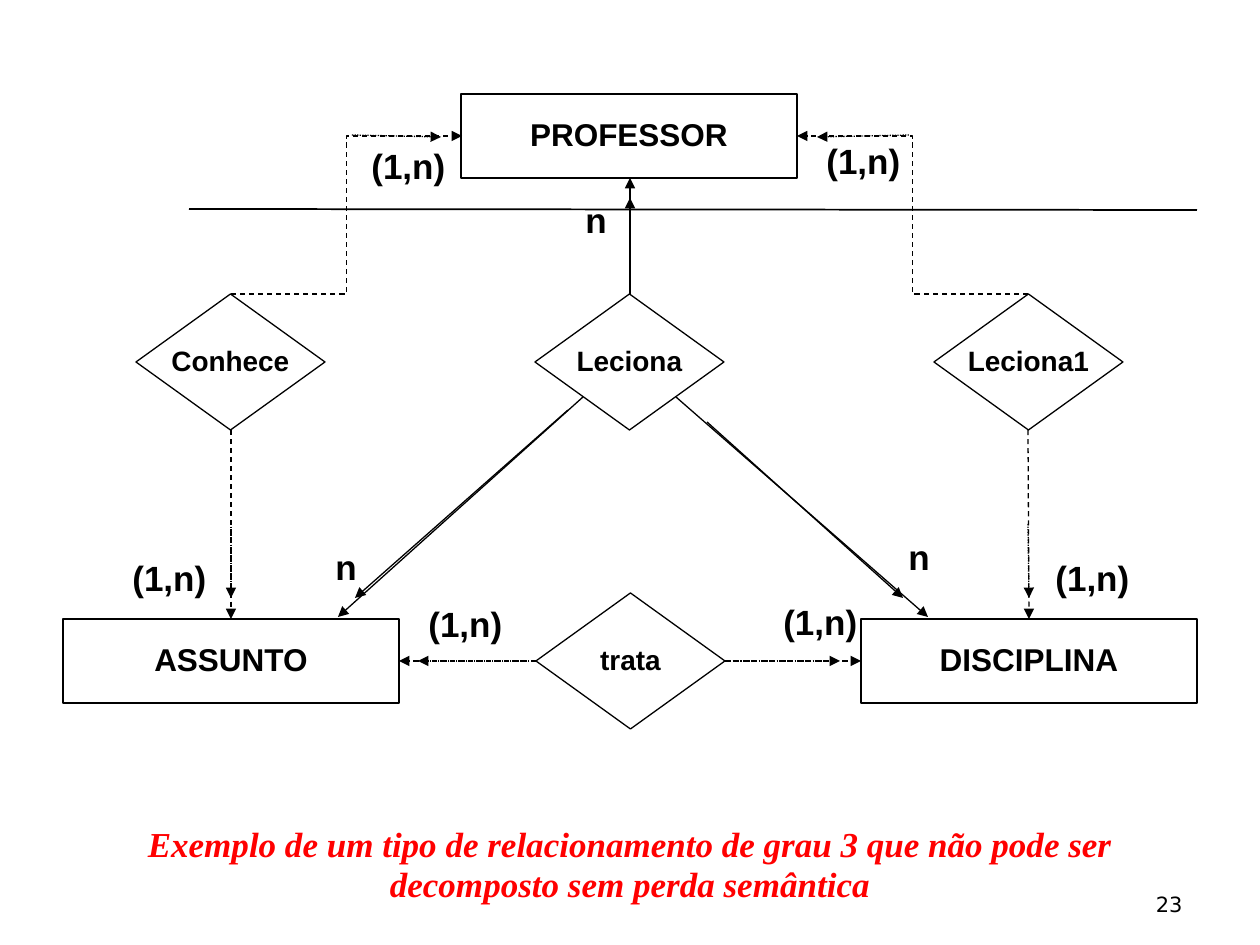
"""Builds a slide with an entity-relationship diagram of a ternary relationship."""
from lxml.etree import SubElement
from pptx import Presentation
from pptx.dml.color import RGBColor
from pptx.enum.dml import MSO_LINE as DASH
from pptx.enum.shapes import MSO_CONNECTOR as CONN, MSO_SHAPE as SHAPE
from pptx.enum.text import MSO_ANCHOR as ANCHOR, MSO_AUTO_SIZE as FIT, PP_ALIGN as ALIGN
from pptx.oxml.ns import qn
from pptx.util import Emu, Pt

BLACK = RGBColor(0, 0, 0)
WHITE = RGBColor(255, 255, 255)
RED = RGBColor(255, 0, 0)
PX = 914400 / 126


def px(*lengths):
    return [Emu(round(v * PX)) for v in lengths]


class Diagram:
    font = "Arial"
    line_width = Pt(0.75)

    def __init__(self, prs):
        self.s = prs.slides.add_slide(prs.slide_layouts[6])

    def label(self, sp, text, size, align=ALIGN.CENTER, font=font, color=BLACK,
              bold=True, italic=False, spacing=0.93):
        tf = sp.text_frame
        tf.text = text
        for p in tf.paragraphs:
            p.alignment = align
            p.line_spacing = spacing
            for r in p.runs:
                r.font.name = font
                r.font.size = Pt(size)
                r.font.bold = bold
                r.font.italic = italic
                r.font.color.rgb = color
        return tf

    def node(self, kind, text, x, y, w, h, size):
        sp = self.s.shapes.add_shape(kind, *px(x, y, w, h))
        sp.shadow.inherit = False
        sp.fill.solid()
        sp.fill.fore_color.rgb = WHITE
        sp.line.color.rgb = BLACK
        sp.line.width = self.line_width
        tf = self.label(sp, text, size)
        tf.word_wrap = False
        tf.vertical_anchor = ANCHOR.MIDDLE

    def entity(self, text, x, y):
        self.node(SHAPE.RECTANGLE, text, x, y, 336, 84, 18)

    def relationship(self, text, x, y):
        self.node(SHAPE.FLOWCHART_DECISION, text, x, y, 189, 136, 16)

    def line(self, x1, y1, x2, y2, dash=None, kind=CONN.STRAIGHT, width=line_width, arrow=True):
        c = self.s.shapes.add_connector(kind, *px(x1, y1, x2, y2))
        c.line.color.rgb = BLACK
        c.line.width = width
        if dash:
            c.line.dash_style = dash
        spPr = c._element.spPr
        if arrow:
            SubElement(spPr.find(qn("a:ln")), qn("a:tailEnd"), type="triangle")
        SubElement(spPr, qn("a:effectLst"))

    def text(self, text, x, y, w, h, size, wrap=True, anchor=ANCHOR.TOP, fit=FIT.NONE, **style):
        sp = self.s.shapes.add_textbox(*px(x, y, w, h))
        tf = self.label(sp, text, size, **style)
        tf.word_wrap = wrap
        tf.auto_size = fit
        tf.vertical_anchor = anchor

    def cardinality(self, text, x, y):
        self.text(text, x, y, 47 if text == "n" else 100, 52, 20, wrap=False,
                  fit=FIT.SHAPE_TO_FIT_TEXT, align=ALIGN.LEFT)


def main():
    prs = Presentation()
    prs.slide_width, prs.slide_height = px(1260, 945)
    d = Diagram(prs)

    d.line(189, 209, 1197, 210, width=Pt(1), arrow=False)
    d.text("Exemplo de um tipo de relacionamento de grau 3 que não pode ser\n"
           "decomposto sem perda semântica", 0, 819, 1260, 93, 20, fit=FIT.SHAPE_TO_FIT_TEXT,
           font="Times New Roman", color=RED, italic=True, spacing=0.95)

    for name, x, y in [("PROFESSOR", 461, 94), ("ASSUNTO", 63, 619), ("DISCIPLINA", 861, 619)]:
        d.entity(name, x, y)
    for name, x, y in [("Conhece", 136, 294), ("Leciona", 535, 294),
                       ("Leciona1", 934, 294), ("trata", 536, 593)]:
        d.relationship(name, x, y)

    for x1, x2 in [(231, 462), (1028, 797)]:
        d.line(x1, 294, x2, 136, DASH.DASH, CONN.ELBOW)
    for ends in [(231, 430, 231, 619), (1028, 430, 1029, 619),
                 (536, 661, 399, 661), (725, 661, 861, 661)]:
        d.line(*ends, DASH.DASH)
    for ends in [(352, 135, 441, 137), (909, 135, 817, 137),
                 (725, 661, 840, 661), (537, 661, 418, 661),
                 (1028, 524, 1029, 598), (231, 524, 231, 598)]:
        d.line(*ends, DASH.ROUND_DOT)
    for ends in [(676, 397, 928, 617), (583, 397, 338, 617), (630, 294, 630, 178),
                 (630, 264, 630, 198), (707, 422, 903, 598), (568, 410, 355, 598)]:
        d.line(*ends)

    for text, spots in [("n", [(323, 543), (896, 533), (573, 196)]),
                        ("(1,n)", [(359, 142), (814, 137), (416, 600), (771, 598),
                                   (120, 554), (1043, 554)])]:
        for x, y in spots:
            d.cardinality(text, x, y)

    d.text("23", 903, 861, 292, 62, 12, anchor=ANCHOR.BOTTOM, align=ALIGN.RIGHT,
           font="DejaVu Sans", bold=False, spacing=1.01)
    prs.save("out.pptx")


if __name__ == "__main__":
    main()
